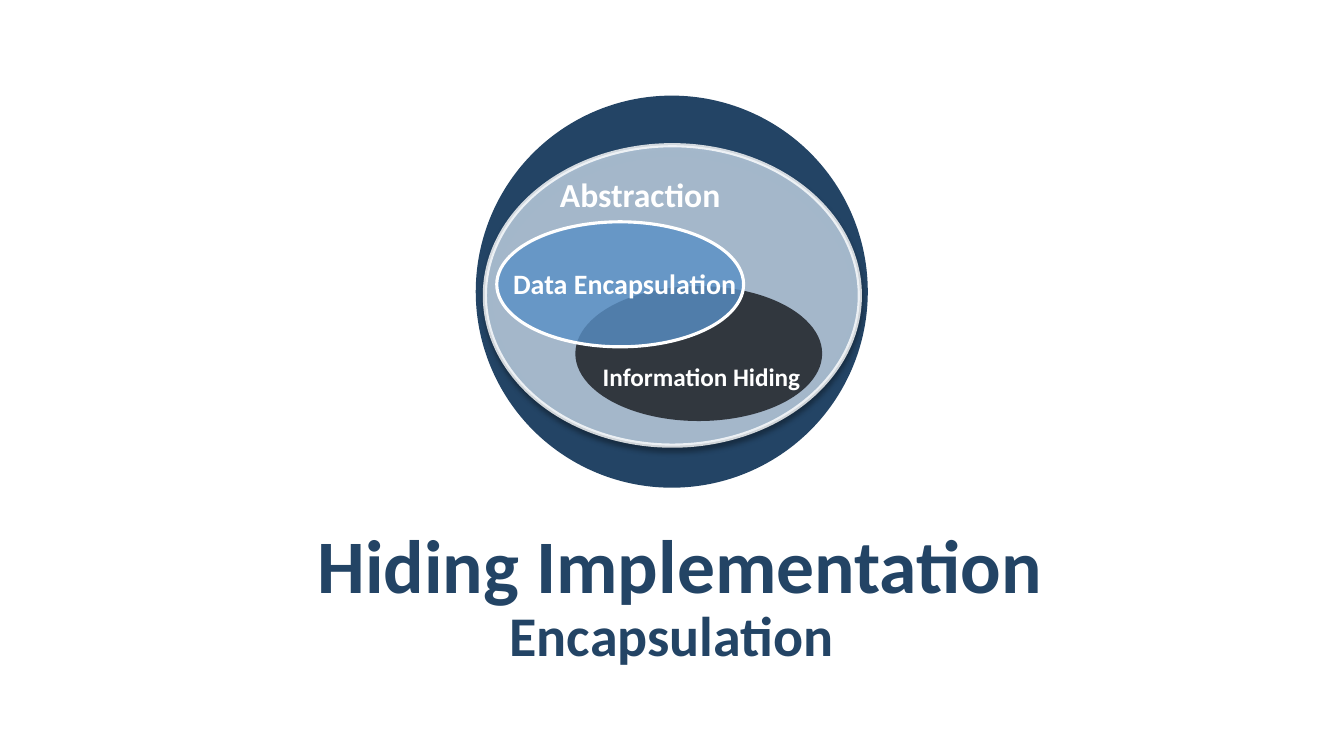
from lxml.etree import SubElement
from pptx import Presentation
from pptx.dml.color import RGBColor
from pptx.enum.shapes import MSO_SHAPE as SHAPE
from pptx.enum.text import MSO_ANCHOR as ANCHOR, PP_ALIGN as ALIGN
from pptx.oxml.ns import qn
from pptx.util import Cm, Pt

COLORS = {
    "navy": "234465",
    "pale": "C7DAEC",
    "dark": "15171C",
    "blue": "588FC5",
    "white": "FFFFFF",
    "black": "000000",
}

deck = Presentation()
deck.slide_width, deck.slide_height = Cm(33.87), Cm(19.05)
slide = deck.slides.add_slide(deck.slide_layouts[6])


def add_ellipse(box, color, opacity=100, line_width=0, line_opacity=100):
    ellipse = slide.shapes.add_shape(SHAPE.OVAL, *map(Cm, box))
    ellipse.shadow.inherit = False
    paints = [(ellipse.fill, color, opacity)]
    if line_width:
        ellipse.line.width = Pt(line_width)
        paints.append((ellipse.line.fill, "white", line_opacity))
    else:
        ellipse.line.fill.background()
    for paint, name, percent in paints:
        paint.solid()
        paint.fore_color.rgb = RGBColor.from_string(COLORS[name])
    if opacity < 100:
        for clr, (_, _, percent) in zip(ellipse._element.spPr.iter(qn("a:srgbClr")), paints):
            SubElement(clr, qn("a:alpha"), val=str(percent * 1000))
    return ellipse


def add_text(box, text, size, color, spacing, margins):
    frame = slide.shapes.add_textbox(*map(Cm, box)).text_frame
    frame.word_wrap = True
    frame.margin_left = frame.margin_right = Cm(margins[0])
    frame.margin_top = frame.margin_bottom = Cm(margins[1])
    frame.text = text
    paragraph = frame.paragraphs[0]
    paragraph.line_spacing = spacing
    font = paragraph.runs[0].font
    font.name, font.size, font.bold = "Calibri", Pt(size), True
    font.color.rgb = RGBColor.from_string(COLORS[color])
    return frame


add_ellipse((11.99, 2.41, 9.88, 9.88), "navy")

for top, height, text, size in [
    (13.08, 2.13, " Hiding Implementation", 54),
    (15.24, 1.4, "Encapsulation", 40),
]:
    heading = add_text((1.7, top, 30.45, height), text, size, "navy", 1.05, (0.3, 0.1))
    heading.vertical_anchor = ANCHOR.MIDDLE
    heading.paragraphs[0].alignment = ALIGN.CENTER
    heading.paragraphs[0].space_before = heading.paragraphs[0].space_after = Pt(6)

abstraction = add_ellipse((12.22, 3.66, 9.45, 7.57), "pale", 80, 3, 80)
effects = abstraction._element.spPr.find(qn("a:effectLst"))
shadow = SubElement(effects, qn("a:outerShdw"), blurRad=str(Pt(4)), dist=str(Pt(3)),
                    dir="5400000", rotWithShape="0")
shadow_color = SubElement(shadow, qn("a:srgbClr"), val=COLORS["black"])
SubElement(shadow_color, qn("a:alpha"), val="40000")

add_ellipse((14.5, 7.21, 6.22, 3.4), "dark", 80)
add_ellipse((12.52, 5.59, 6.22, 3.15), "blue", 80, 2.25)

for box, text, size in [
    ((13.51, 3.99, 6.27, 1.73), " Abstraction", 24),
    ((14.78, 8.74, 7.9, 1.45), "Information Hiding", 18),
    ((12.52, 6.32, 8.48, 1.5), "Data Encapsulation", 20),
]:
    add_text(box, text, size, "white", 1.1, (0.41, 0.3))

deck.save("out.pptx")
